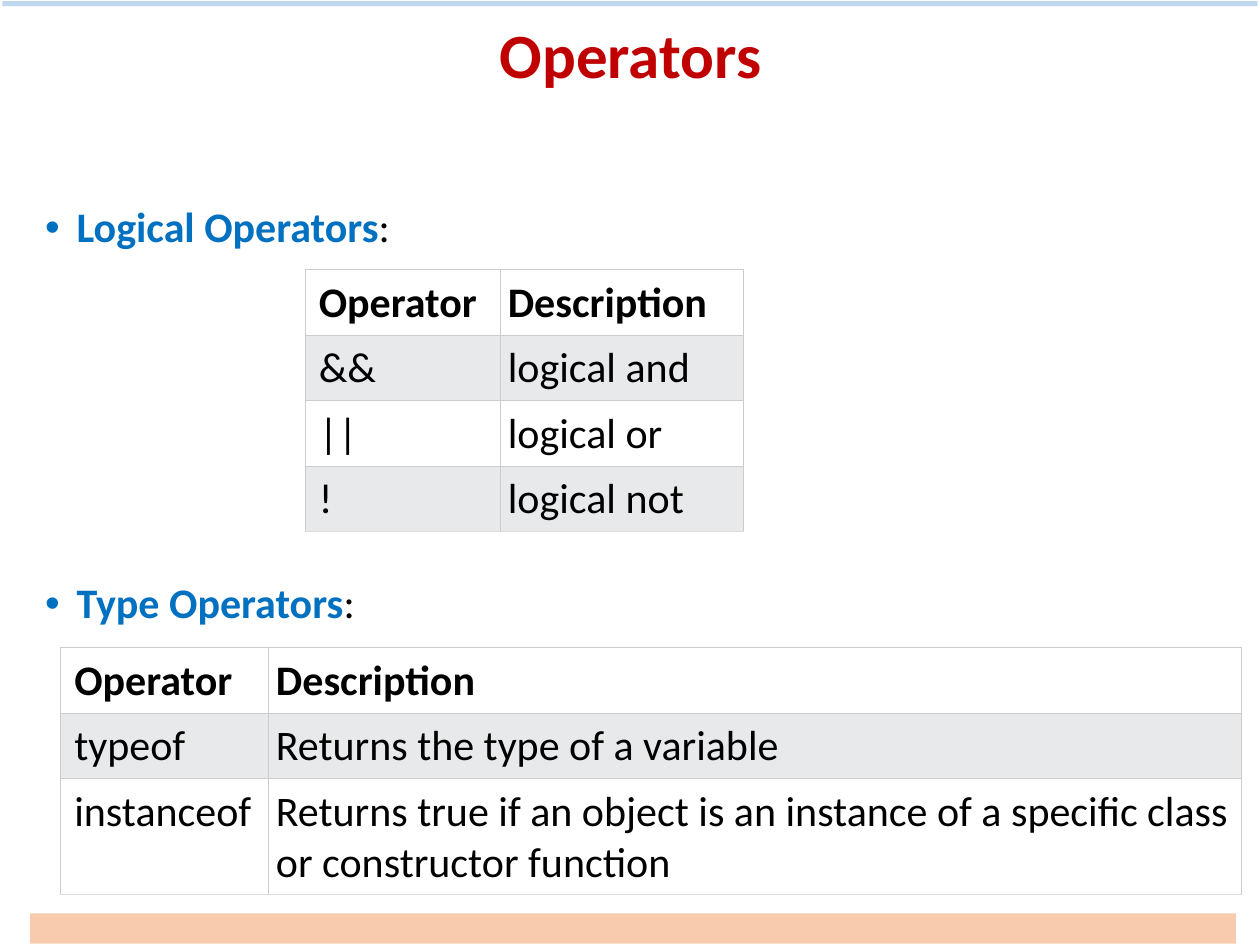
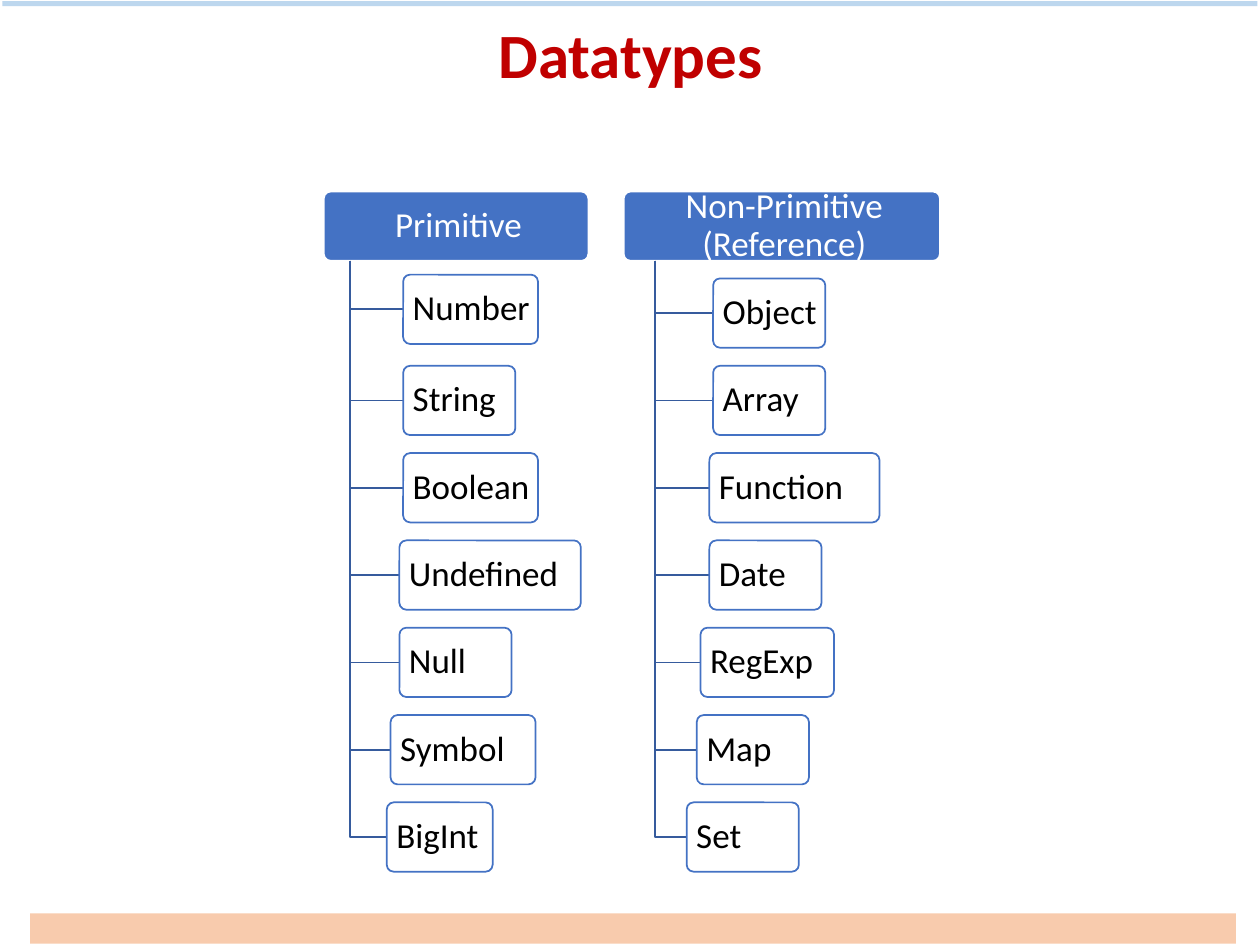
from lxml.etree import SubElement
from pptx import Presentation
from pptx.dml.color import RGBColor
from pptx.enum.shapes import MSO_SHAPE
from pptx.enum.text import MSO_ANCHOR, PP_ALIGN
from pptx.oxml.ns import qn
from pptx.util import Inches, Pt

HUES = {
    "title": "C00000", "head": "0070C0", "ink": "000000", "paper": "FFFFFF",
    "top": "BDD7EE", "foot": "F8CBAD", "band": "E7E9EB",
    "rule": "CCCCCC", "base": "DDDDDD", "node": "4472C4", "link": "365B9D",
}
TINT = {name: RGBColor.from_string(code) for name, code in HUES.items()}

deck = Presentation()
deck.slide_width = Inches(10)
deck.slide_height = Inches(7.5)
COL = deck.slide_width / 100
ROW = deck.slide_height / 75


def write(para, text, size=24, hue="ink", bold=False, align=PP_ALIGN.LEFT, lead=0.9):
    para.alignment = align
    para.line_spacing = lead
    run = para.add_run()
    run.text = text
    run.font.name = "Calibri"
    run.font.size = Pt(size)
    run.font.bold = bold
    run.font.color.rgb = TINT[hue]


def block(page, form, left, top, wide, high, fill, line=None):
    shape = page.shapes.add_shape(form, int(left * COL), int(top * ROW), int(wide * COL), int(high * ROW))
    shape.shadow.inherit = False
    shape.fill.solid()
    shape.fill.fore_color.rgb = TINT[fill]
    if line:
        shape.adjustments[0] = 0.1
        shape.line.color.rgb = TINT[line]
        shape.line.width = Pt(1)
        frame = shape.text_frame
        frame.word_wrap = True
        frame.vertical_anchor = MSO_ANCHOR.MIDDLE
        frame.margin_left = Inches(0.06)
        frame.margin_right = Inches(0.02)
        frame.margin_top = frame.margin_bottom = Inches(0.04)
    else:
        shape.line.fill.background()
    return shape


pages = []
for name in ["Operators", "Datatypes"]:
    page = deck.slides.add_slide(deck.slide_layouts[6])
    block(page, MSO_SHAPE.RECTANGLE, 2.4, 72.5, 95.7, 2.4, "foot")
    block(page, MSO_SHAPE.RECTANGLE, 0.2, 0.1, 99.6, 0.4, "top")
    title = page.shapes.add_textbox(int(2.6 * COL), int(1.4 * ROW), int(94.9 * COL), int(12.7 * ROW))
    title.text_frame.word_wrap = True
    write(title.text_frame.paragraphs[0], name, size=36, hue="title", bold=True, align=PP_ALIGN.CENTER)
    pages.append(page)

page = pages[0]
body = page.shapes.add_textbox(int(2.6 * COL), int(15.9 * ROW), int(94.9 * COL), int(54.1 * ROW))
frame = body.text_frame
frame.word_wrap = True
for head, gap in [("Logical Operators", 0), ("Type Operators", 189)]:
    para = frame.add_paragraph() if gap else frame.paragraphs[0]
    write(para, head, hue="head", bold=True)
    write(para, ":")
    para.space_before = Pt(gap)
    prop = para._p.get_or_add_pPr()
    prop.set("marL", str(Inches(0.25)))
    prop.set("indent", str(-Inches(0.25)))
    SubElement(prop, qn("a:buFont"), typeface="Arial")
    SubElement(prop, qn("a:buChar"), char="•")

HEAD = ("Operator", "Description")
grids = [
    (24.2, 21.4, (15.5, 19.3), (5.2, 5.2, 5.2, 5.2),
     [HEAD, ("&&", "logical and"), ("||", "logical or"), ("!", "logical not")]),
    (4.8, 51.4, (16.5, 77.2), (5.2, 5.2, 9.2),
     [HEAD, ("typeof", "Returns the type of a variable"),
      ("instanceof", "Returns true if an object is an instance of a specific class or constructor function")]),
]
for left, top, cols, rows, data in grids:
    table = page.shapes.add_table(len(rows), len(cols), int(left * COL), int(top * ROW),
                                  int(sum(cols) * COL), int(sum(rows) * ROW)).table
    table.first_row = table.horz_banding = False
    for c, wide in enumerate(cols):
        table.columns[c].width = int(wide * COL)
    for r, high in enumerate(rows):
        table.rows[r].height = int(high * ROW)
        for c, text in enumerate(data[r]):
            cell = table.cell(r, c)
            cell.margin_left = Inches(0.06 if c else 0.11)
            cell.margin_right = cell.margin_top = cell.margin_bottom = Inches(0.06)
            write(cell.text_frame.paragraphs[0], text, bold=r == 0, lead=1.0)
            prop = cell._tc.get_or_add_tcPr()
            for side in "LRTB":
                hue = "base" if side == "B" and r == len(rows) - 1 else "rule"
                edge = SubElement(prop, qn("a:ln" + side), w=str(Pt(0.5)))
                SubElement(SubElement(edge, qn("a:solidFill")), qn("a:srgbClr"), val=HUES[hue])
            cell.fill.solid()
            cell.fill.fore_color.rgb = TINT["band" if r % 2 else "paper"]

page = pages[1]
HIGH = 5.5
STEP = 6.93
trees = [
    ("Primitive", 25.7, 21, 27.8, 21.8,
     [("Number", 32, 10.7), ("String", 32, 8.9), ("Boolean", 32, 10.7), ("Undefined", 31.7, 14.4),
      ("Null", 31.7, 8.9), ("Symbol", 31, 11.5), ("BigInt", 30.7, 8.4)]),
    ("Non-Primitive (Reference)", 49.5, 25.1, 52, 22.1,
     [("Object", 56.6, 8.9), ("Array", 56.6, 8.9), ("Function", 56.3, 13.5), ("Date", 56.3, 8.9),
      ("RegExp", 55.6, 10.6), ("Map", 55.3, 8.9), ("Set", 54.5, 8.9)]),
]
for name, left, wide, stem, first, kids in trees:
    root = block(page, MSO_SHAPE.ROUNDED_RECTANGLE, left, 15.2, wide, HIGH, "node", "paper")
    write(root.text_frame.paragraphs[0], name, size=20, hue="paper", align=PP_ALIGN.CENTER)
    for i, (kid, left, wide) in enumerate(kids):
        top = 22.1 + i * STEP if i else first
        mid = int((top + HIGH / 2) * ROW)
        pen = page.shapes.build_freeform(int(stem * COL), int(20.7 * ROW))
        pen.add_line_segments([(int(stem * COL), mid), (int(left * COL), mid)], close=False)
        link = pen.convert_to_shape()
        link.shadow.inherit = False
        link.fill.background()
        link.line.color.rgb = TINT["link"]
        link.line.width = Pt(1)
        node = block(page, MSO_SHAPE.ROUNDED_RECTANGLE, left, top, wide, HIGH, "paper", "node")
        write(node.text_frame.paragraphs[0], kid, size=20)

deck.save("out.pptx")
